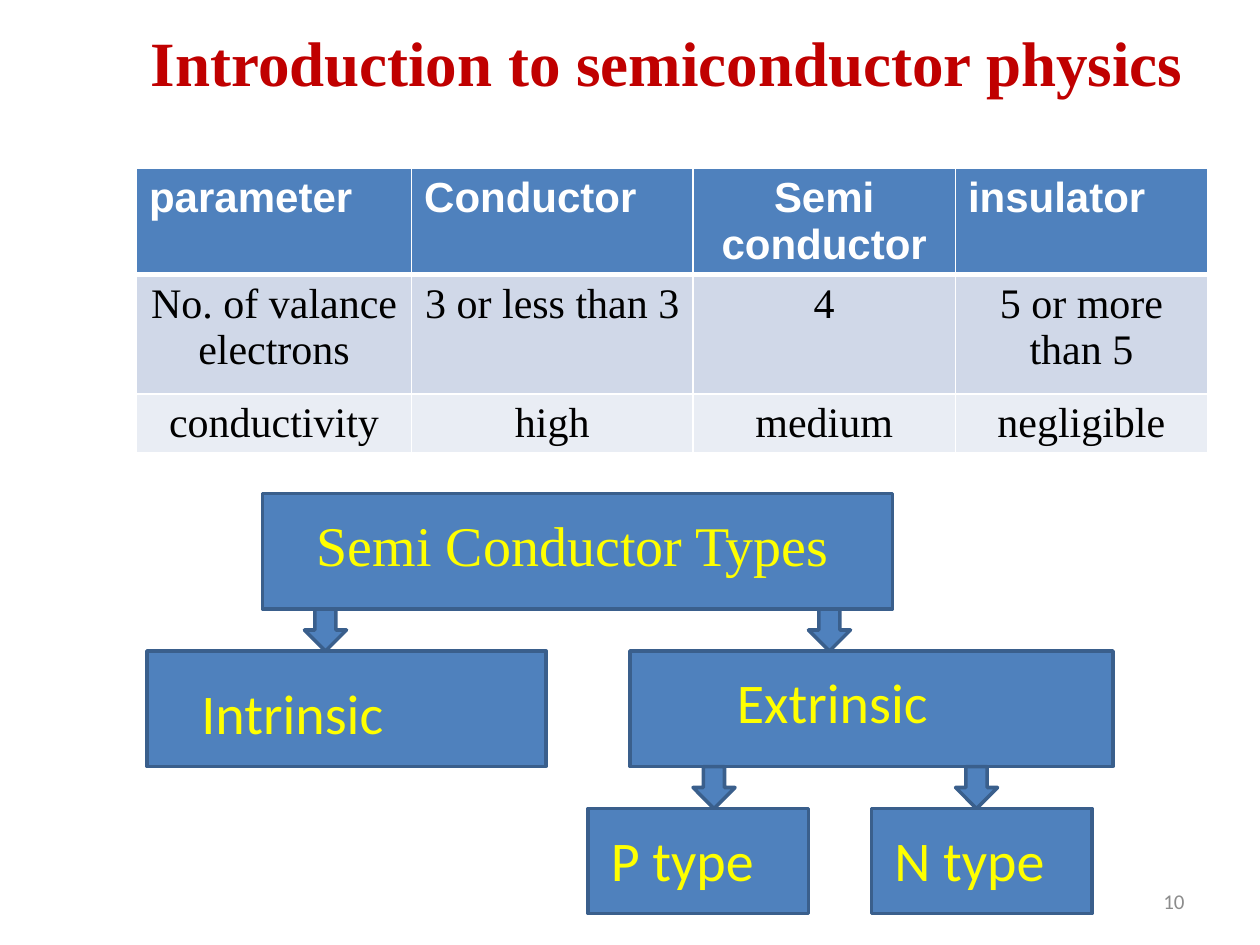
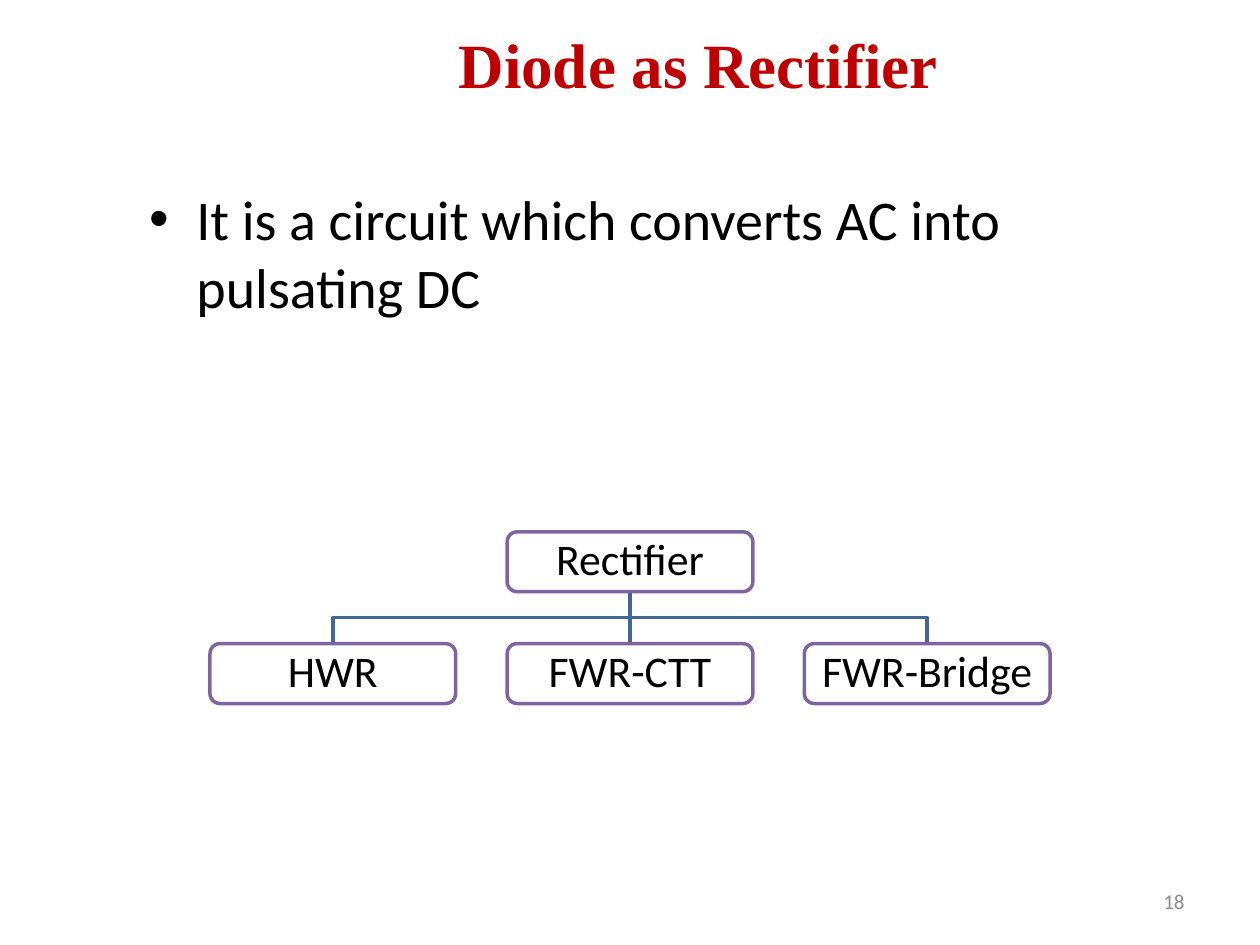
from dataclasses import dataclass

from lxml import etree
from pptx import Presentation
from pptx import util as u
from pptx.dml.color import RGBColor
from pptx.enum import shapes, text
from pptx.oxml import ns

COLUMNS, ROWS = 120, 90  # square grid, twelve cells to the inch


@dataclass(frozen=True)
class Theme:
    serif: str = "Times New Roman"
    sans: str = "Calibri"
    header_font: str = "Arial"
    title_color: str = "C00000"
    ink: str = "000000"
    paper: str = "FFFFFF"
    block: str = "4F81BD"
    block_edge: str = "3A5F8C"
    block_label: str = "FFFF00"
    node_edge: str = "8064A2"
    link: str = "3F6797"
    bands: tuple = ("D0D8E8", "E9EDF4")
    number_color: str = "8C8C8C"
    title_size: int = 36
    body_size: int = 32
    node_size: int = 25
    table_size: int = 24
    number_size: int = 12
    line_width: int = 2


class SlideMaker:
    """Holds the theme and the current slide; lengths are grid columns and rows."""

    def __init__(self, theme):
        self.theme = theme
        self.deck = Presentation()
        self.deck.slide_width, self.deck.slide_height = u.Inches(10), u.Inches(7.5)
        self.cell_width = self.deck.slide_width / COLUMNS
        self.cell_height = self.deck.slide_height / ROWS
        self.page = None

    def x(self, columns):
        return u.Emu(round(columns * self.cell_width))

    def y(self, rows):
        return u.Emu(round(rows * self.cell_height))

    def area(self, left, top, width, height):
        return self.x(left), self.y(top), self.x(width), self.y(height)

    def style(self, para, font, size, color, bold=False, align=None):
        para.font.name, para.font.size, para.font.bold = font, u.Pt(size), bold
        para.font.color.rgb = RGBColor.from_string(color)
        if align is not None:
            para.alignment = align

    def outline(self, line, color):
        line.color.rgb = RGBColor.from_string(color)
        line.width = u.Pt(self.theme.line_width)

    def new_page(self, layout, title, title_area, number):
        self.page = self.deck.slides.add_slide(self.deck.slide_layouts[layout])
        para = self.fill_placeholder(self.page.shapes.title, title, title_area)
        self.style(para, self.theme.serif, self.theme.title_size,
                   self.theme.title_color, True, text.PP_ALIGN.CENTER)
        self.label(number, (86, 83.4, 28, 4.8), self.theme.sans,
                   self.theme.number_size, self.theme.number_color,
                   text.PP_ALIGN.RIGHT, text.MSO_ANCHOR.MIDDLE, text.MSO_AUTO_SIZE.NONE)

    def fill_placeholder(self, holder, words, area):
        holder.left, holder.top, holder.width, holder.height = self.area(*area)
        holder.text_frame.text = words
        holder.text_frame.auto_size = text.MSO_AUTO_SIZE.NONE
        return holder.text_frame.paragraphs[0]

    def body(self, words, area):
        para = self.fill_placeholder(self.page.placeholders[1], words, area)
        para.space_before = u.Pt(0)
        self.style(para, self.theme.sans, self.theme.body_size, self.theme.ink)

    def label(self, words, area, font, size, color, align=text.PP_ALIGN.LEFT,
              anchor=text.MSO_ANCHOR.TOP, fit=text.MSO_AUTO_SIZE.SHAPE_TO_FIT_TEXT):
        frame = self.page.shapes.add_textbox(*self.area(*area)).text_frame
        frame.text, frame.word_wrap = words, True
        frame.auto_size, frame.vertical_anchor = fit, anchor
        self.style(frame.paragraphs[0], font, size, color, align=align)

    def preset(self, kind, area, fill, edge):
        box = self.page.shapes.add_shape(kind, *self.area(*area))
        box.shadow.inherit = False
        box.fill.solid()
        box.fill.fore_color.rgb = RGBColor.from_string(fill)
        self.outline(box.line, edge)
        return box

    def block(self, area, kind=shapes.MSO_SHAPE.RECTANGLE):
        return self.preset(kind, area, self.theme.block, self.theme.block_edge)

    def down_arrow(self, left, top):
        self.block((left, top, 4, 4), shapes.MSO_SHAPE.DOWN_ARROW)

    def node(self, words, area):
        box = self.preset(shapes.MSO_SHAPE.ROUNDED_RECTANGLE, area,
                          self.theme.paper, self.theme.node_edge)
        box.adjustments[0] = 0.1 * 1.67
        frame = box.text_frame
        frame.text, frame.word_wrap = words, True
        frame.vertical_anchor = text.MSO_ANCHOR.MIDDLE
        frame.margin_left = frame.margin_right = u.Inches(0.02)
        frame.margin_top = frame.margin_bottom = u.Inches(0.02)
        para = frame.paragraphs[0]
        para.line_spacing = 0.9
        self.style(para, self.theme.sans, self.theme.node_size, self.theme.ink,
                   align=text.PP_ALIGN.CENTER)

    def branch(self, start, end):
        """Line from a parent to a child, bent halfway when they are not aligned."""
        (x1, y1), (x2, y2) = start, end
        if x1 == x2:
            line = self.page.shapes.add_connector(
                shapes.MSO_CONNECTOR.STRAIGHT,
                self.x(x1), self.y(y1), self.x(x2), self.y(y2))
            etree.SubElement(line._element.spPr, ns.qn("a:effectLst"))
        else:
            middle = (y1 + y2) / 2
            builder = self.page.shapes.build_freeform(self.x(x1), self.y(y1))
            corners = [(x1, middle), (x2, middle), (x2, y2)]
            builder.add_line_segments([(self.x(a), self.y(b)) for a, b in corners],
                                      close=False)
            line = builder.convert_to_shape()
            line.shadow.inherit = False
            line.fill.background()
        self.outline(line.line, self.theme.link)

    def table(self, rows, left, top, widths, heights):
        """First row is a header; a header of two lines is centred."""
        theme = self.theme
        area = self.area(left, top, sum(widths), sum(heights))
        grid = self.page.shapes.add_table(len(rows), len(widths), *area).table
        for column, width in zip(grid.columns, widths):
            column.width = self.x(width)
        for index, (row, height, words) in enumerate(zip(grid.rows, heights, rows)):
            row.height = self.y(height)
            header = index == 0
            fill = theme.block if header else theme.bands[(index - 1) % 2]
            for cell, entry in zip(row.cells, words):
                cell.text = entry
                cell.fill.solid()
                cell.fill.fore_color.rgb = RGBColor.from_string(fill)
                self.cell_borders(cell, index)
                centred = not header or "\n" in entry
                for para in cell.text_frame.paragraphs:
                    self.style(para, theme.header_font if header else theme.serif,
                               theme.table_size, theme.paper if header else theme.ink,
                               header,
                               text.PP_ALIGN.CENTER if centred else text.PP_ALIGN.LEFT)

    def cell_borders(self, cell, row):
        """White rules, heavier between the header and the first row."""
        heavy = {0: "lnB", 1: "lnT"}.get(row)
        properties = cell._tc.get_or_add_tcPr()
        for place, side in enumerate(("lnL", "lnR", "lnT", "lnB")):
            rule = etree.Element(ns.qn("a:" + side),
                                 w=str(u.Pt(3 if side == heavy else 1)))
            fill = etree.SubElement(rule, ns.qn("a:solidFill"))
            etree.SubElement(fill, ns.qn("a:srgbClr"), val=self.theme.paper)
            properties.insert(place, rule)


def semiconductor_page(maker):
    theme = maker.theme
    maker.new_page(5, "Introduction to semiconductor physics", (11, 1.6, 105, 8.4), "10")
    maker.table(
        [("parameter", "Conductor", "Semi\nconductor", "insulator"),
         ("No. of valance electrons", "3 or less than 3", "4", "5 or more than 5"),
         ("conductivity", "high", "medium", "negligible")],
        13, 16, widths=(26.2, 26.8, 25, 24), heights=(10.1, 11.4, 5.6))

    types = [
        ("Semi Conductor Types", (25, 47, 60, 11), (29, 48, 53), theme.serif),
        ("Intrinsic", (14, 62, 38, 11), (18, 64, 25), theme.sans),
        ("Extrinsic", (60, 62, 46, 11), (69, 63, 28), theme.sans),
        ("P type", (56, 77, 21, 10), (57, 78, 19), theme.sans),
        ("N type", (83, 77, 21, 10), (84, 78, 19), theme.sans),
    ]
    for _, block_area, _, _ in types:
        maker.block(block_area)
    for left, top in ((29, 58), (77, 58), (66, 73), (91, 73)):
        maker.down_arrow(left, top)
    for words, _, label_area, font in types:
        maker.label(words, (*label_area, 7.68), font, theme.body_size, theme.block_label)


def rectifier_page(maker):
    maker.new_page(1, "Diode as Rectifier", (13, 0, 107, 12), "18")
    maker.body("It is a circuit which converts AC into pulsating DC", (13, 17, 102, 68))

    width, height, pitch = 23.4, 5.7, 28.3
    center, root_top, child_top = COLUMNS / 2, 50.65, 61.3
    children = [(words, center + step * pitch) for step, words in
                enumerate(("HWR", "FWR-CTT", "FWR-Bridge"), start=-1)]
    for _, middle in children:
        maker.branch((center, root_top + height), (middle, child_top))
    maker.node("Rectifier", (center - width / 2, root_top, width, height))
    for words, middle in children:
        maker.node(words, (middle - width / 2, child_top, width, height))


def main():
    maker = SlideMaker(Theme())
    semiconductor_page(maker)
    rectifier_page(maker)
    maker.deck.save("out.pptx")


if __name__ == "__main__":
    main()
